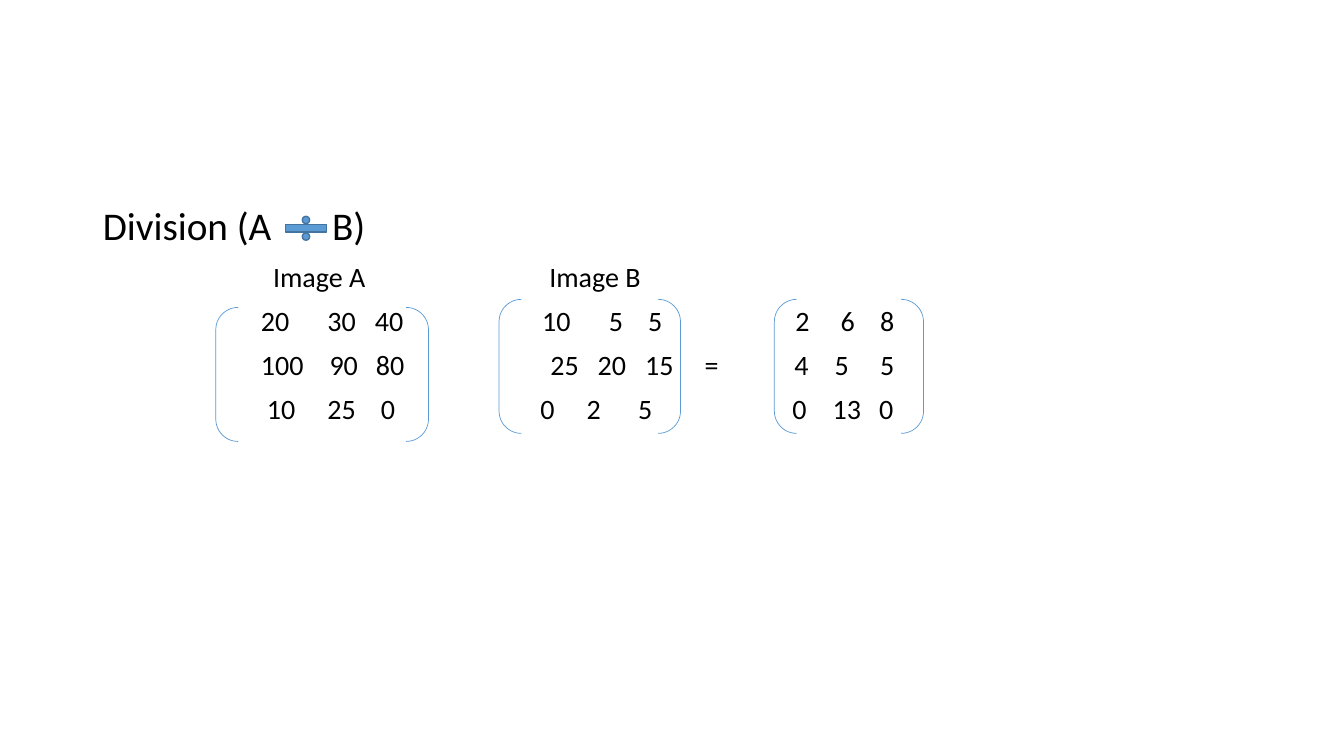
import dataclasses

import lxml.etree
import pptx
import pptx.dml.color
import pptx.enum.shapes
import pptx.enum.text
import pptx.oxml.ns
import pptx.util

SLIDE_WIDTH, SLIDE_HEIGHT = 13.33, 7.5
TEXT_LEFT, TEXT_WIDTH = 0.92, 11.5
FONT = "Calibri"
COLORS = {"text": "000000", "accent": "5B9BD5", "outline": "43739E"}
SHAPES = pptx.enum.shapes.MSO_SHAPE


@dataclasses.dataclass(frozen=True)
class MatrixRow:
    """Words of one line; each stop is inches from the left text edge."""
    words: tuple[str, ...]
    stops: tuple[float, ...]


@dataclasses.dataclass(frozen=True)
class Symbol:
    kind: SHAPES
    left: float
    top: float
    width: float
    height: float
    line_color: str
    line_width: float
    fill_color: str | None = None


def matrix_bracket(left: float, top: float, width: float) -> Symbol:
    return Symbol(SHAPES.DOUBLE_BRACKET, left, top, width, 1.33, "accent", 0.5)


# Heading pieces with their letter spacing; the wide space holds the sign
HEADING = (("Division (A", 0), (" ", 37), ("B)", 0))

# Captions and matrix rows
ROWS = (
    MatrixRow(("Image A", "Image B"), (1.69, 4.43)),
    MatrixRow(("20", "30", "40", "10", "5", "5", "2", "6", "8"),
              (1.57, 2.23, 2.7, 4.36, 5.02, 5.41, 6.87, 7.32, 7.71)),
    MatrixRow(("100", "90", "80", "25", "20", "15", "=", "4", "5", "5"),
              (1.57, 2.25, 2.71, 4.44, 4.91, 5.38, 5.97, 6.86, 7.26, 7.71)),
    MatrixRow(("10", "25", "0", "0", "2", "5", "0", "13", "0"),
              (1.63, 2.23, 2.76, 4.34, 4.8, 5.31, 6.84, 7.24, 7.7)),
)

# Division sign and the brackets around the matrices
SYMBOLS = (
    Symbol(SHAPES.MATH_DIVIDE, 2.76, 2.11, 0.55, 0.31, "outline", 1, "accent"),
    matrix_bracket(4.95, 2.97, 1.8),
    matrix_bracket(2.14, 3.05, 2.11),
    matrix_bracket(7.68, 2.97, 1.48),
)


def rgb(name: str) -> pptx.dml.color.RGBColor:
    return pptx.dml.color.RGBColor.from_string(COLORS[name])


def write_text(paragraph, text: str, *, size: int, spacing: int = 0,
               space_before: float = 0, color: str = "text") -> None:
    """Add one run to a paragraph; spacing is letter spacing in points."""
    paragraph.alignment = pptx.enum.text.PP_ALIGN.LEFT
    paragraph.line_spacing = 0.9
    paragraph.space_before = pptx.util.Pt(space_before)
    run = paragraph.add_run()
    run.text = text
    run.font.name = FONT
    run.font.size = pptx.util.Pt(size)
    run.font.color.rgb = rgb(color)
    if spacing:
        run._r.get_or_add_rPr().set("spc", str(spacing * 100))


def prepare_frame(shape) -> None:
    frame = shape.text_frame
    frame.word_wrap = True
    frame.auto_size = pptx.enum.text.MSO_AUTO_SIZE.NONE
    frame.vertical_anchor = pptx.enum.text.MSO_ANCHOR.TOP


def fill_heading(body) -> None:
    body.left, body.top, body.width, body.height = map(
        pptx.util.Inches, (TEXT_LEFT, 2, TEXT_WIDTH, 0.56))
    prepare_frame(body)
    paragraph = body.text_frame.paragraphs[0]
    properties = paragraph._p.get_or_add_pPr()
    properties.set("marL", "0")
    properties.set("indent", "0")
    lxml.etree.SubElement(properties, pptx.oxml.ns.qn("a:buNone"))
    for text, spacing in HEADING:
        write_text(paragraph, text, size=28, spacing=spacing)


def add_tab_stops(paragraph, stops: tuple[float, ...]) -> None:
    properties = paragraph._p.get_or_add_pPr()
    tabs = lxml.etree.SubElement(properties, pptx.oxml.ns.qn("a:tabLst"))
    for stop in stops:
        lxml.etree.SubElement(tabs, pptx.oxml.ns.qn("a:tab"),
                              pos=str(int(pptx.util.Inches(stop))), algn="l")


def add_matrices(slide) -> None:
    box = slide.shapes.add_textbox(*map(
        pptx.util.Inches, (TEXT_LEFT, 2.56, TEXT_WIDTH, 2)))
    prepare_frame(box)
    frame = box.text_frame
    for index, row in enumerate(ROWS):
        paragraph = frame.add_paragraph() if index else frame.paragraphs[0]
        add_tab_stops(paragraph, row.stops)
        write_text(paragraph, "".join("\t" + word for word in row.words),
                   size=20, space_before=10 if index else 0)


def draw_symbol(slide, symbol: Symbol) -> None:
    shape = slide.shapes.add_shape(symbol.kind, *map(
        pptx.util.Inches,
        (symbol.left, symbol.top, symbol.width, symbol.height)))
    shape.shadow.inherit = False
    if symbol.fill_color:
        shape.fill.solid()
        shape.fill.fore_color.rgb = rgb(symbol.fill_color)
    else:
        shape.fill.background()
    shape.line.color.rgb = rgb(symbol.line_color)
    shape.line.width = pptx.util.Pt(symbol.line_width)


def main() -> None:
    presentation = pptx.Presentation()
    presentation.slide_width = pptx.util.Inches(SLIDE_WIDTH)
    presentation.slide_height = pptx.util.Inches(SLIDE_HEIGHT)
    slide = presentation.slides.add_slide(presentation.slide_layouts[1])

    # This slide has a body only
    title = slide.shapes.title._element
    title.getparent().remove(title)
    fill_heading(slide.placeholders[1])
    add_matrices(slide)

    for symbol in SYMBOLS:
        draw_symbol(slide, symbol)
    presentation.save("out.pptx")


if __name__ == "__main__":
    main()
